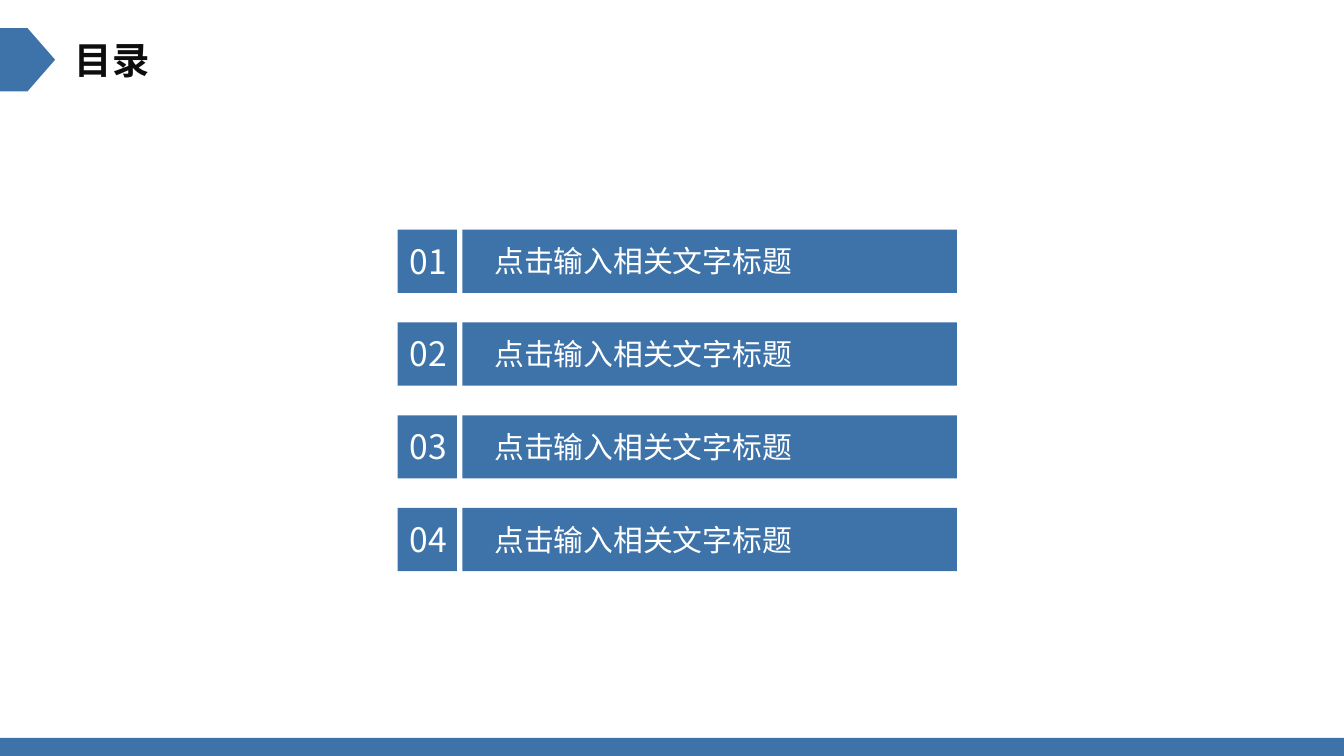
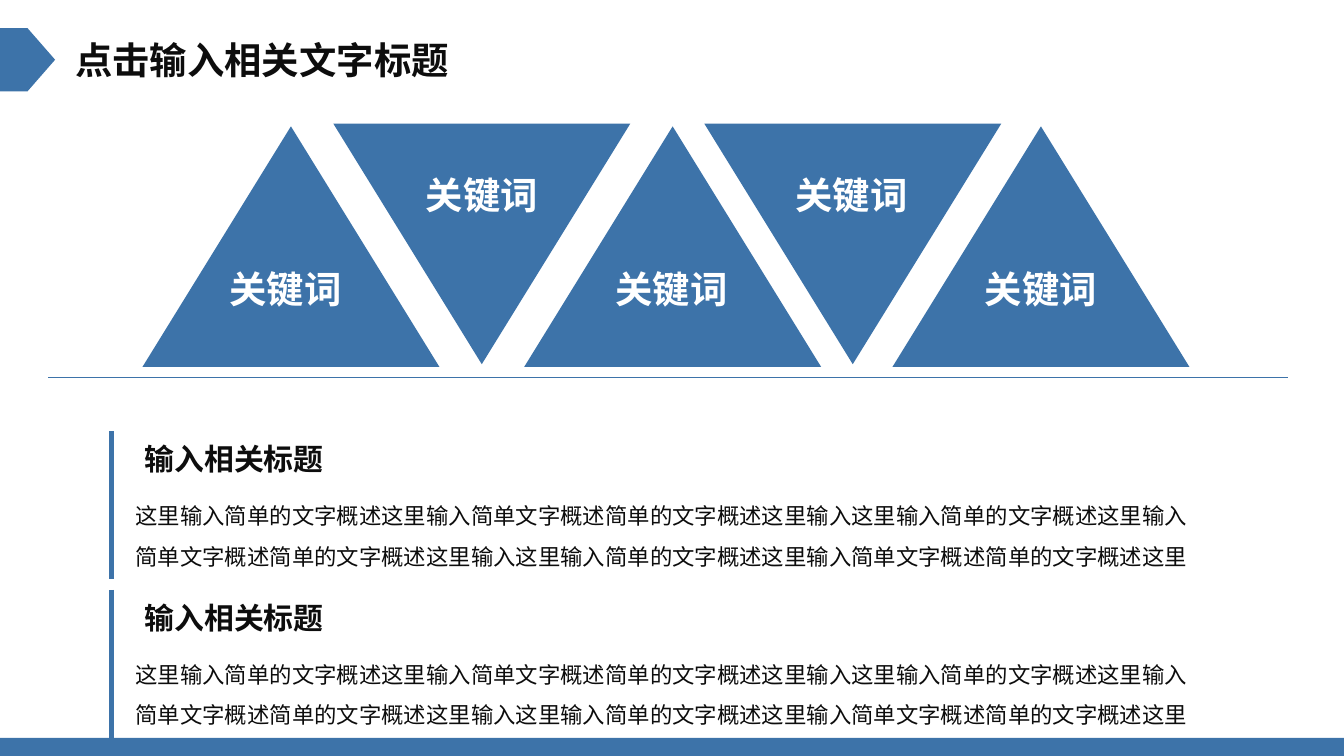
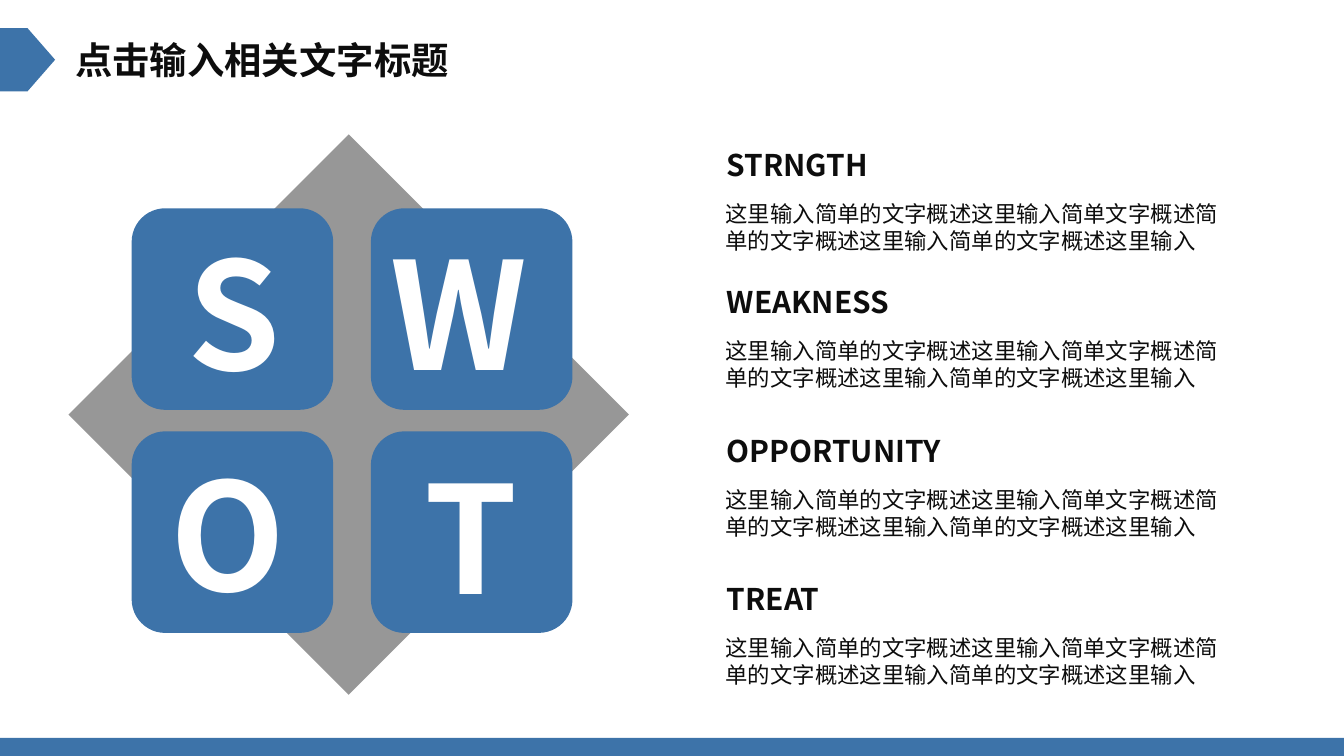
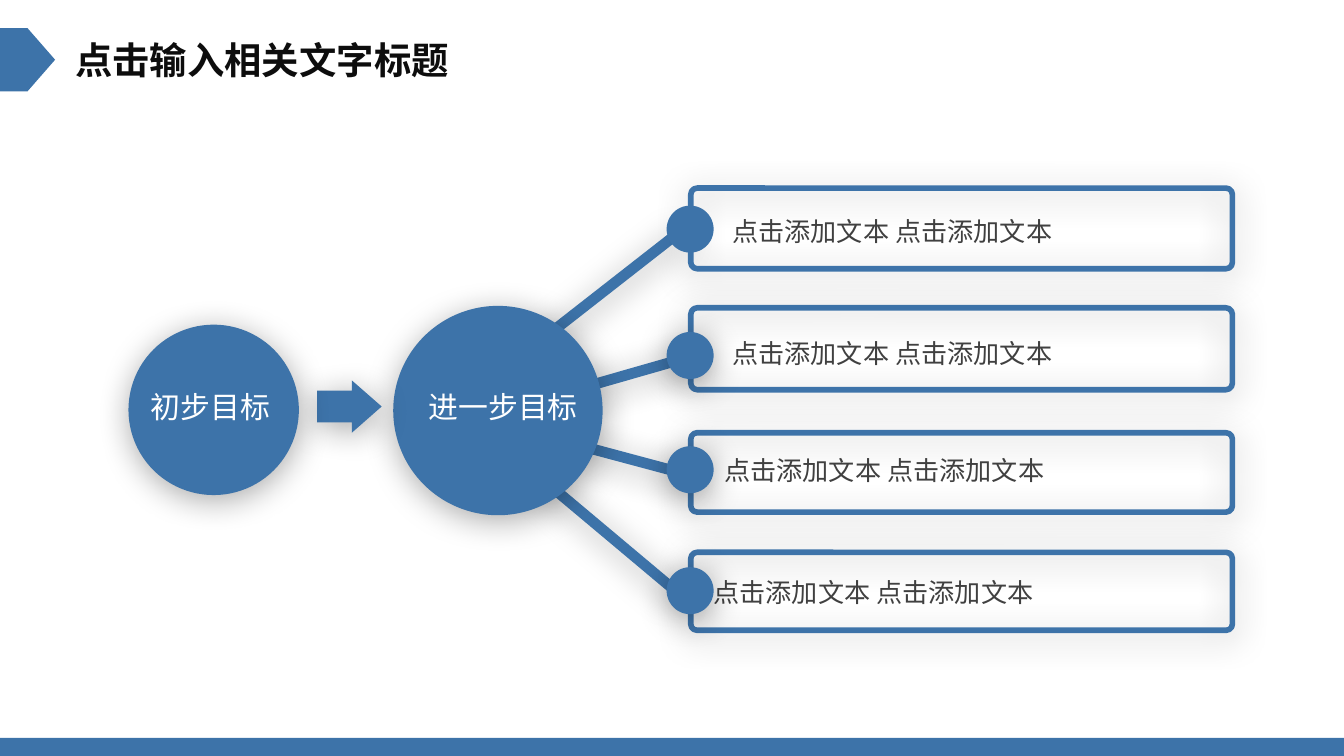
from dataclasses import dataclass
from typing import NamedTuple

from pptx import Presentation
from pptx.dml.color import RGBColor
from pptx.enum.shapes import MSO_CONNECTOR, MSO_SHAPE
from pptx.enum.text import MSO_ANCHOR, MSO_AUTO_SIZE, PP_ALIGN
from pptx.oxml.ns import qn
from pptx.util import Inches, Pt
from lxml import etree

RECTANGLE = MSO_SHAPE.RECTANGLE
ROUNDED = MSO_SHAPE.ROUNDED_RECTANGLE
PENTAGON = MSO_SHAPE.PENTAGON
TRIANGLE = MSO_SHAPE.FLOWCHART_EXTRACT
DIAMOND = MSO_SHAPE.DIAMOND
ELLIPSE = MSO_SHAPE.OVAL
ARROW = MSO_SHAPE.RIGHT_ARROW
STRAIGHT = MSO_CONNECTOR.STRAIGHT
LEFT, CENTER = PP_ALIGN.LEFT, PP_ALIGN.CENTER
TOP, MIDDLE = MSO_ANCHOR.TOP, MSO_ANCHOR.MIDDLE


@dataclass(frozen=True)
class Theme:
    blue: str = "3D73A9"
    ink: str = "0D0D0D"
    gray: str = "404040"
    dark: str = "303030"
    white: str = "FFFFFF"
    font: str = "Noto Sans CJK SC"
    body_font: str = "Calibri"
    title: int = 20
    number: int = 18
    heading: int = 16
    item: int = 14
    body: int = 12
    letter: int = 80


THEME = Theme()
SLIDE_WIDTH = 10
SLIDE_HEIGHT = SLIDE_WIDTH * 9 / 16
TITLE = "点击输入相关文字标题"
SENTENCE = "这里输入简单的文字概述这里输入简单文字概述简单的文字概述这里输入"
SHORT_BODY = SENTENCE + "简单的文字概述这里输入"
LONG_BODY = (SENTENCE * 3).removesuffix("输入")


class Box(NamedTuple):
    left: float
    top: float
    width: float
    height: float

    def lengths(self):
        return [Inches(value) for value in self]


class Keyword(NamedTuple):
    left: float
    label_left: float
    inverted: bool


class Letter(NamedTuple):
    text: str
    tile: tuple[float, float]
    box: Box


class Beam(NamedTuple):
    box: Box
    angle: float


class Goal(NamedTuple):
    frame_top: float
    frame_height: float
    text: Box
    dot_top: float
    dot_shadow: bool = True


KEYWORDS = [
    Keyword(1.06, 1.61, False),
    Keyword(2.48, 3.07, True),
    Keyword(3.9, 4.48, False),
    Keyword(5.24, 5.82, True),
    Keyword(6.64, 7.23, False),
]
LETTERS = [
    Letter("S", (0.98, 1.55), Box(1.3, 1.6, 0.88, 1.45)),
    Letter("W", (2.76, 1.55), Box(2.81, 1.6, 1.41, 1.45)),
    Letter("O", (0.98, 3.21), Box(1.17, 3.24, 1.12, 1.45)),
    Letter("T", (2.76, 3.21), Box(3.06, 3.26, 0.9, 1.45)),
]
FACTORS = {"STRNGTH": 1.04, "WEAKNESS": 2.06, "OPPORTUNITY": 3.17, "TREAT": 4.27}
BEAMS = [
    Beam(Box(3.51, 2.84, 1.68, 0.08), 344),
    Beam(Box(3.5, 3.28, 1.66, 0.08), 15),
    Beam(Box(3.37, 2.25, 1.93, 0.08), 322),
    Beam(Box(3.35, 3.76, 1.93, 0.08), 40),
]
GOALS = [
    Goal(3.22, 0.59, Box(5.29, 3.33, 3.51, 0.34), 3.32),
    Goal(4.11, 0.58, Box(5.21, 4.24, 3.68, 0.34), 4.22),
    Goal(2.29, 0.61, Box(5.35, 2.46, 3.44, 0.34), 2.47),
    Goal(1.4, 0.6, Box(5.35, 1.55, 3.74, 0.34), 1.53, dot_shadow=False),
]


# Drawing helpers
def write_text(shape, text: str, *, size: int, color: str = THEME.ink,
               font: str = THEME.font, bold: bool = False, wrap: bool = True,
               align=LEFT, anchor=TOP, spacing: float | None = None) -> None:
    frame = shape.text_frame
    frame.word_wrap = wrap
    frame.auto_size = MSO_AUTO_SIZE.SHAPE_TO_FIT_TEXT
    frame.vertical_anchor = anchor
    paragraph = frame.paragraphs[0]
    paragraph.alignment = align
    if spacing:
        paragraph.line_spacing = spacing
    run = paragraph.add_run()
    run.text = text
    run.font.size = Pt(size)
    run.font.bold = bold
    run.font.name = font
    run.font.color.rgb = RGBColor.from_string(color)
    east_asian = etree.Element(qn("a:ea"), typeface=font)
    run.font._element.find(qn("a:latin")).addnext(east_asian)


def add_text(slide, box: Box, text: str, **text_format) -> None:
    write_text(slide.shapes.add_textbox(*box.lengths()), text, **text_format)


def add_shadow(shape) -> None:
    effects = shape._element.spPr.find(qn("a:effectLst"))
    shadow = etree.SubElement(effects, qn("a:outerShdw"), blurRad=str(Pt(17.8)),
                              dist=str(Pt(3)), dir=str(87 * 60000),
                              algn="t", rotWithShape="0")
    color = etree.SubElement(shadow, qn("a:srgbClr"), val="000000")
    etree.SubElement(color, qn("a:alpha"), val="33000")


def add_shape(slide, kind, box: Box, *, fill: str | None = THEME.blue,
              line_width: float = 0, adjustments: tuple[float, ...] = (),
              shadow: bool = False, opacity: int = 100):
    shape = slide.shapes.add_shape(kind, *box.lengths())
    for index, value in enumerate(adjustments):
        shape.adjustments[index] = value
    if fill:
        shape.fill.solid()
        shape.fill.fore_color.rgb = RGBColor.from_string(fill)
    else:
        shape.fill.background()
    if opacity < 100:
        color = shape._element.spPr.find(qn("a:solidFill")).find(qn("a:srgbClr"))
        etree.SubElement(color, qn("a:alpha"), val=str(opacity * 1000))
    if line_width:
        shape.line.color.rgb = RGBColor.from_string(THEME.blue)
        shape.line.width = Pt(line_width)
    else:
        shape.line.fill.background()
    shape.shadow.inherit = False
    if shadow:
        add_shadow(shape)
    return shape


def add_line(slide, start: tuple[float, float], end: tuple[float, float],
             width: float) -> None:
    points = [Inches(value) for value in (*start, *end)]
    line = slide.shapes.add_connector(STRAIGHT, *points)
    line.line.color.rgb = RGBColor.from_string(THEME.blue)
    line.line.width = Pt(width)
    etree.SubElement(line._element.spPr, qn("a:effectLst"))


def add_base_slide(presentation, title: str, title_width: float = 3.01):
    """Blank slide with the footer band, title marker and title."""
    slide = presentation.slides.add_slide(presentation.slide_layouts[6])
    add_shape(slide, RECTANGLE, Box(0, 5.49, SLIDE_WIDTH, 0.16))
    add_shape(slide, PENTAGON, Box(0, 0.21, 0.41, 0.47))
    add_text(slide, Box(0.46, 0.23, title_width, 0.44), title,
             size=THEME.title, bold=True, wrap=False)
    return slide


# Slides
def build_contents(presentation) -> None:
    slide = add_base_slide(presentation, "目录", 0.76)
    for index in range(4):
        top = 1.71 + 0.69 * index
        add_shape(slide, RECTANGLE, Box(2.96, top, 0.44, 0.47))
        add_text(slide, Box(2.95, top + 0.03, 0.5, 0.4), f"{index + 1:02d}",
                 size=THEME.number, color=THEME.white, wrap=False)
        add_shape(slide, RECTANGLE, Box(3.44, top, 3.68, 0.47))
        add_text(slide, Box(3.58, top + 0.05, 2.45, 0.37), TITLE,
                 size=THEME.heading, color=THEME.white, wrap=False)


def build_keywords(presentation) -> None:
    slide = add_base_slide(presentation, TITLE)
    for keyword in KEYWORDS:
        top, label_top = (0.92, 1.23) if keyword.inverted else (0.94, 1.93)
        triangle = add_shape(slide, TRIANGLE, Box(keyword.left, top, 2.21, 1.79))
        if keyword.inverted:
            triangle._element.spPr.find(qn("a:xfrm")).set("flipV", "1")
        label = add_shape(slide, RECTANGLE,
                          Box(keyword.label_left, label_top, 1.04, 0.44))
        write_text(label, "关键词", size=THEME.title, color=THEME.white,
                   bold=True, wrap=False)
    add_line(slide, (0.36, 2.81), (9.58, 2.81), 0.75)
    for top in (3.21, 4.39):
        add_line(slide, (0.83, top), (0.83, top + 1.1), 3)
        add_text(slide, Box(0.91, top + 0.38, 8.13, 0.67), LONG_BODY,
                 size=THEME.body, font=THEME.body_font, spacing=1.5)
        add_text(slide, Box(0.98, top + 0.02, 2.21, 0.37), "输入相关标题",
                 size=THEME.heading, bold=True)


def build_swot(presentation) -> None:
    slide = add_base_slide(presentation, TITLE)
    add_shape(slide, DIAMOND, Box(0.51, 1, 4.17, 4.17), fill=THEME.dark, opacity=50)
    for letter in LETTERS:
        add_shape(slide, ROUNDED, Box(*letter.tile, 1.5, 1.5))
        add_text(slide, letter.box, letter.text, size=THEME.letter,
                 color=THEME.white, bold=True, wrap=False)
    for factor, top in FACTORS.items():
        add_text(slide, Box(5.3, top + 0.4, 3.88, 0.5), SHORT_BODY,
                 size=THEME.body, font=THEME.body_font)
        add_text(slide, Box(5.31, top, 2.21, 0.37), factor,
                 size=THEME.heading, bold=True)


def add_goal_circle(slide, circle: Box, label: Box, text: str) -> None:
    add_shape(slide, ELLIPSE, circle, line_width=2, shadow=True)
    add_text(slide, label, text, size=THEME.heading, color=THEME.white,
             align=CENTER, anchor=MIDDLE)


def build_goals(presentation) -> None:
    slide = add_base_slide(presentation, TITLE)
    for beam in BEAMS:
        bar = add_shape(slide, ROUNDED, beam.box, adjustments=(0.5,), shadow=True)
        bar.rotation = beam.angle
    add_goal_circle(slide, Box(2.94, 2.29, 1.53, 1.53),
                    Box(2.96, 2.84, 1.57, 0.37), "进一步目标")
    for goal in GOALS:
        add_shape(slide, ROUNDED, Box(5.14, goal.frame_top, 4.03, goal.frame_height),
                  fill=None, line_width=3, adjustments=(0.08,), shadow=True)
        add_text(slide, goal.text, "点击添加文本 点击添加文本",
                 size=THEME.item, color=THEME.gray)
        add_shape(slide, ELLIPSE, Box(4.96, goal.dot_top, 0.35, 0.35),
                  shadow=goal.dot_shadow)
    add_shape(slide, ARROW, Box(2.36, 2.83, 0.48, 0.39),
              adjustments=(0.61, 0.57), shadow=True)
    add_goal_circle(slide, Box(0.97, 2.43, 1.24, 1.24),
                    Box(0.79, 2.84, 1.55, 0.37), "初步目标")


def main() -> None:
    presentation = Presentation()
    presentation.slide_width = Inches(SLIDE_WIDTH)
    presentation.slide_height = Inches(SLIDE_HEIGHT)
    build_contents(presentation)
    build_keywords(presentation)
    build_swot(presentation)
    build_goals(presentation)
    presentation.save("out.pptx")


if __name__ == "__main__":
    main()
